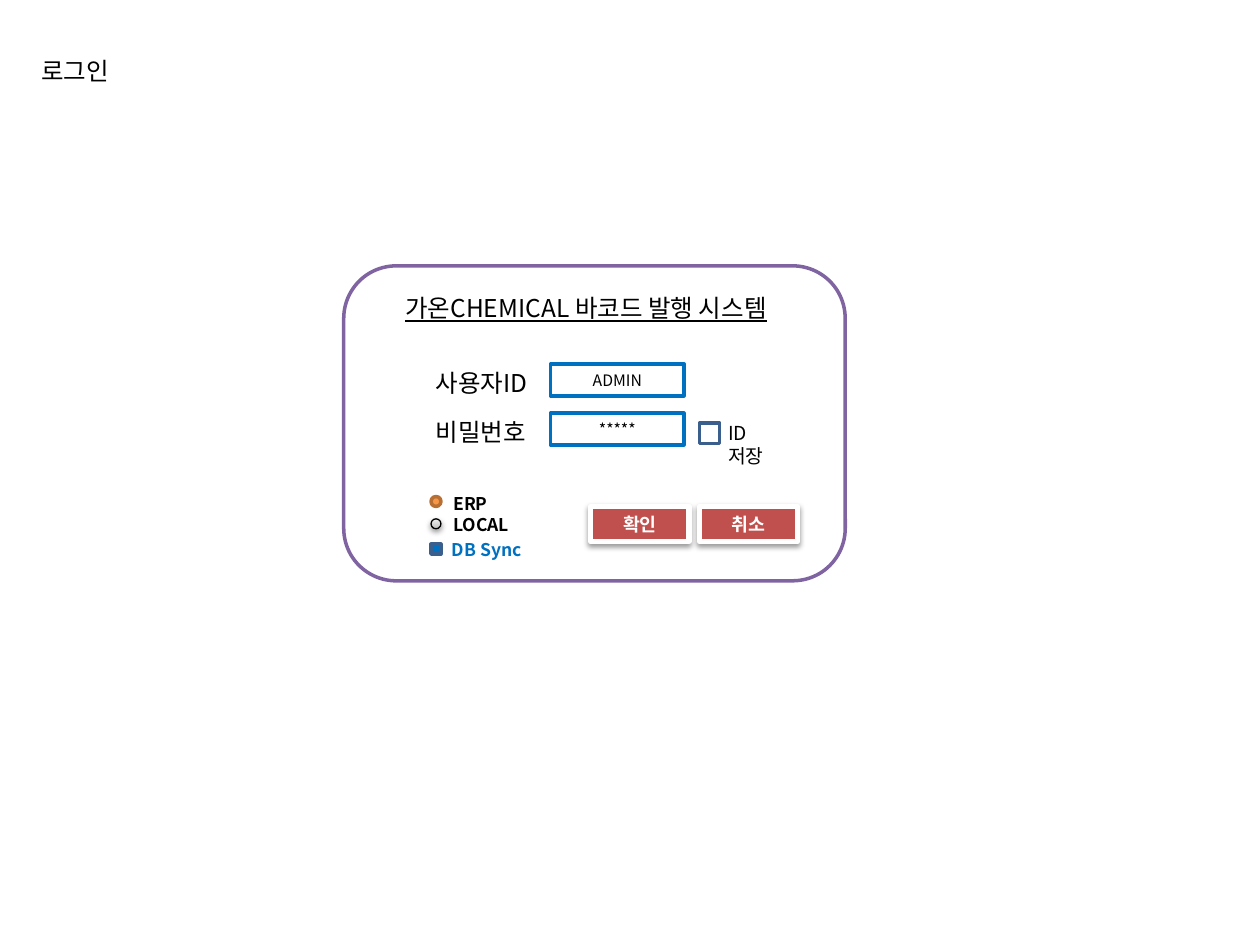
from dataclasses import dataclass

from lxml.etree import SubElement
from pptx import Presentation
from pptx.dml.color import RGBColor
from pptx.enum.shapes import MSO_SHAPE as Shape
from pptx.enum.text import MSO_ANCHOR as Anchor, PP_ALIGN as Align
from pptx.oxml import parse_xml
from pptx.oxml.ns import nsdecls, qn
from pptx.util import Cm, Pt

FONT = "Noto Sans CJK KR"
BLACK = RGBColor(0x00, 0x00, 0x00)
WHITE = RGBColor(0xFF, 0xFF, 0xFF)
BLUE = RGBColor(0x00, 0x70, 0xC0)
NAVY = RGBColor(0x3A, 0x5F, 0x8C)
RED = RGBColor(0xC0, 0x50, 0x4D)
PURPLE = RGBColor(0x80, 0x64, 0xA2)
ORANGE = RGBColor(0xF7, 0x96, 0x46)
BROWN = RGBColor(0xB7, 0x6F, 0x34)
GREYS = ((0, "BDBDBD"), (35, "D1D1D1"), (100, "EEEEEE"))


@dataclass
class Box:
    left: float
    top: float
    width: float
    height: float

    def place(self, sp) -> None:
        sp.left, sp.top = Cm(self.left), Cm(self.top)
        sp.width, sp.height = Cm(self.width), Cm(self.height)


@dataclass
class Label:
    text: str
    box: Box
    size: float = 14
    color: RGBColor = BLACK
    bold: bool = False
    underline: bool = False
    wrap: bool = False


@dataclass
class Field:
    label: str
    value: str
    top: float


def write(sp, text: str, size: float = 14, color: RGBColor = BLACK,
          bold: bool = False, underline: bool = False, wrap: bool = False,
          align: Align = Align.LEFT, anchor: Anchor = Anchor.TOP) -> None:
    tf = sp.text_frame
    tf.word_wrap = wrap
    tf.vertical_anchor = anchor
    tf.margin_left = tf.margin_right = Cm(0.25)
    tf.margin_top = tf.margin_bottom = Cm(0.13)
    for i, line in enumerate(text.split("\n")):
        p = tf.add_paragraph() if i else tf.paragraphs[0]
        p.alignment = align
        r = p.add_run()
        r.text = line
        f = r.font
        f.name, f.size, f.bold, f.underline = FONT, Pt(size), bold, underline
        f.color.rgb = color
        SubElement(r._r.get_or_add_rPr(), qn("a:ea"), typeface=FONT)


def add_label(s, label: Label) -> None:
    b = label.box
    sp = s.shapes.add_textbox(Cm(b.left), Cm(b.top), Cm(b.width), Cm(b.height))
    write(sp, label.text, size=label.size, color=label.color, bold=label.bold,
          underline=label.underline, wrap=label.wrap)


def add_box(s, kind: Shape, b: Box, line: RGBColor, weight: float = 2,
            fill: RGBColor | None = None):
    sp = s.shapes.add_shape(kind, Cm(b.left), Cm(b.top), Cm(b.width), Cm(b.height))
    sp.shadow.inherit = False
    if fill is None:
        sp.fill.background()
    else:
        sp.fill.solid()
        sp.fill.fore_color.rgb = fill
    sp.line.color.rgb = line
    sp.line.width = Pt(weight)
    return sp


def add_shadow(sp) -> None:
    effects = sp._element.spPr.find(qn("a:effectLst"))
    effects.append(parse_xml(
        f'<a:outerShdw {nsdecls("a")} blurRad="{Pt(3.1)}" dist="{Pt(1.6)}" '
        'dir="5400000" rotWithShape="0"><a:srgbClr val="000000">'
        '<a:alpha val="38000"/></a:srgbClr></a:outerShdw>'))


def shade(sp) -> None:
    stops = "".join(f'<a:gs pos="{pos * 1000}"><a:srgbClr val="{rgb}"/></a:gs>'
                    for pos, rgb in GREYS)
    spPr = sp._element.spPr
    spPr.replace(spPr.find(qn("a:noFill")), parse_xml(
        f'<a:gradFill {nsdecls("a")} rotWithShape="1"><a:gsLst>{stops}</a:gsLst>'
        '<a:lin ang="16200000" scaled="0"/></a:gradFill>'))


def add_field(s, field: Field) -> None:
    add_label(s, Label(field.label, Box(8.53, field.top, 2.5, 0.86)))
    sp = add_box(s, Shape.RECTANGLE, Box(11.1, field.top + 0.05, 2.69, 0.64),
                 BLUE, fill=WHITE)
    write(sp, field.value, size=9, align=Align.CENTER, anchor=Anchor.MIDDLE)


def add_button(s, text: str, left: float) -> None:
    sp = add_box(s, Shape.RECTANGLE, Box(left, 10.21, 1.98, 0.71),
                 WHITE, 3, RED)
    add_shadow(sp)
    write(sp, text, size=10.5, color=WHITE, bold=True,
          align=Align.CENTER, anchor=Anchor.MIDDLE)


def add_marker(s, kind: Shape, top: float, line: RGBColor,
               weight: float = 2, fill: RGBColor | None = None):
    return add_box(s, kind, Box(8.69, top, 0.2, 0.2), line, weight, fill)


FIELDS = [Field("사용자ID", "ADMIN", 7.29), Field("비밀번호", "*****", 8.28)]
BUTTONS = [("확인", 11.91), ("취소", 14.1)]
LABELS = [
    Label("가온CHEMICAL 바코드 발행 시스템", Box(7.92, 5.77, 8.43, 0.86), underline=True),
    Label("ID저장", Box(14.43, 8.36, 1.4, 0.74), size=11, wrap=True),
    Label("ERP\nLOCAL", Box(8.89, 9.8, 1.63, 1.12), size=10, bold=True),
    Label("DB Sync", Box(8.86, 10.74, 1.91, 0.69), size=10, color=BLUE, bold=True),
]


def main() -> None:
    prs = Presentation()
    prs.slide_width, prs.slide_height = Cm(25.4), Cm(19.05)
    s = prs.slides.add_slide(prs.slide_layouts[5])
    title = s.shapes.title
    Box(0.58, 0.99, 2.01, 0.86).place(title)
    write(title, "로그인")

    add_box(s, Shape.ROUNDED_RECTANGLE, Box(6.93, 5.36, 10.11, 6.35), PURPLE)
    for field in FIELDS:
        add_field(s, field)
    for text, left in BUTTONS:
        add_button(s, text, left)
    for label in LABELS:
        add_label(s, label)

    add_box(s, Shape.RECTANGLE, Box(14.1, 8.53, 0.41, 0.41), NAVY)
    add_marker(s, Shape.FLOWCHART_CONNECTOR, 10.01, BROWN, fill=ORANGE)
    local = add_marker(s, Shape.FLOWCHART_CONNECTOR, 10.46, BLACK, 0.75)
    shade(local)
    add_shadow(local)
    add_marker(s, Shape.RECTANGLE, 10.97, NAVY, fill=BLUE)
    prs.save("out.pptx")


if __name__ == "__main__":
    main()
